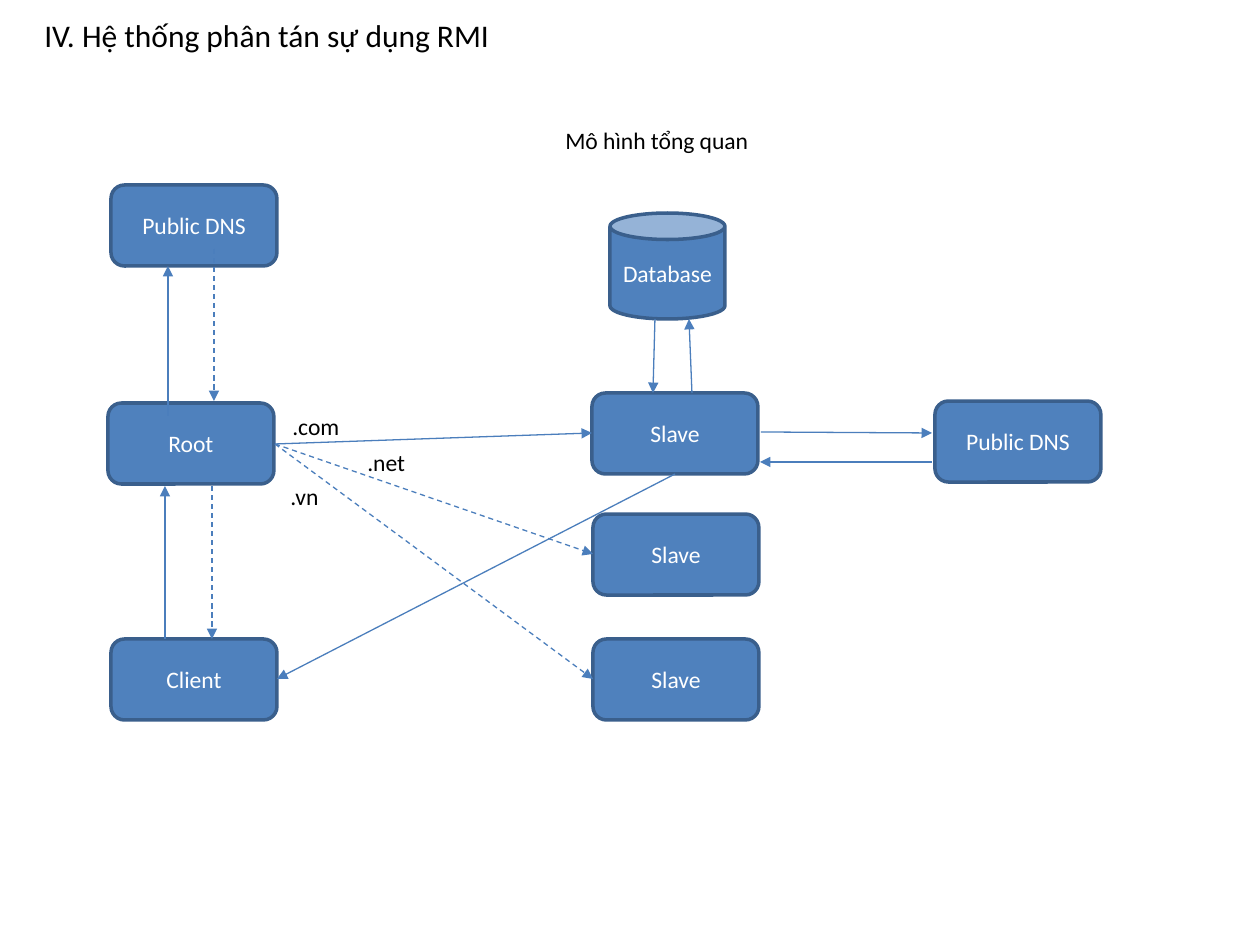
import pptx
import pptx.util
import pptx.dml.color
import pptx.enum.dml
import pptx.enum.shapes
import pptx.enum.text
import pptx.oxml
import pptx.oxml.ns
from lxml import etree

EMU_PER_PX = 914400 / 126
NODE_W, NODE_H = 166, 81
FILL, BORDER, ARROW = "4F81BD", "3A5F8C", "4B7EBC"
SHAPES = pptx.enum.shapes.MSO_SHAPE


def px(length):
    return pptx.util.Emu(round(length * EMU_PER_PX))


def color(hex_code):
    return pptx.dml.color.RGBColor.from_string(hex_code)


def write(frame, text, size=13.5, ink="000000", centered=False, wrap=True):
    frame.word_wrap = wrap
    paragraph = frame.paragraphs[0]
    if centered:
        frame.vertical_anchor = pptx.enum.text.MSO_ANCHOR.MIDDLE
        paragraph.alignment = pptx.enum.text.PP_ALIGN.CENTER
    run = paragraph.add_run()
    run.text = text
    run.font.name = "Calibri"
    run.font.size = pptx.util.Pt(size)
    run.font.color.rgb = color(ink)


def label(slide, text, left, top, width, height=42, **text_format):
    box = slide.shapes.add_textbox(px(left), px(top), px(width), px(height))
    write(box.text_frame, text, **text_format)


def node(slide, text, left, top, width=NODE_W, height=NODE_H,
         outline=SHAPES.ROUNDED_RECTANGLE):
    shape = slide.shapes.add_shape(outline, px(left), px(top), px(width), px(height))
    shape.shadow.inherit = False
    shape.fill.solid()
    shape.fill.fore_color.rgb = color(FILL)
    shape.line.color.rgb = color(BORDER)
    shape.line.width = pptx.util.Pt(2)
    # The database label fills its cylinder, so it must not wrap
    write(shape.text_frame, text, ink="FFFFFF", centered=True,
          wrap=outline != SHAPES.CAN)


def arrow(slide, x1, y1, x2, y2, dashed=False):
    line = slide.shapes.add_connector(
        pptx.enum.shapes.MSO_CONNECTOR.STRAIGHT, px(x1), px(y1), px(x2), px(y2))
    line.line.color.rgb = color(ARROW)
    line.line.width = pptx.util.Pt(0.75)
    if dashed:
        line.line.dash_style = pptx.enum.dml.MSO_LINE.DASH
    properties = line.element.spPr
    etree.SubElement(line.line._get_or_add_ln(),
                     pptx.oxml.ns.qn("a:tailEnd"), type="triangle")
    etree.SubElement(properties, pptx.oxml.ns.qn("a:effectLst"))


def headings(slide, left, top):
    label(slide, "IV. Hệ thống phân tán sự dụng RMI", left, top, 494, 50, size=18)
    label(slide, "Mô hình tổng quan", left + 521, top + 110, 210, wrap=False)


def request_column(slide, left, top):
    """Public DNS above Root above Client; requests solid, replies dashed."""
    for text, dx, dy in (("Public DNS", 3, 0), ("Root", 0, 218), ("Client", 3, 454)):
        node(slide, text, left + dx, top + dy)
    for x, start, end, dashed in ((57, 454, 301, False), (60, 231, 81, False),
                                  (106, 64, 216, True), (104, 301, 454, True)):
        arrow(slide, left + x, top + start, left + x, top + end, dashed)


def slave_column(slide, left, top):
    """Database above the three slaves, linked to the first one."""
    node(slide, "Database", left + 18, top, 115, 106, SHAPES.CAN)
    for dx, dy in ((0, 180), (1, 301), (1, 426)):
        node(slide, "Slave", left + dx, top + dy)
    arrow(slide, left + 63, top + 106, left + 61, top + 180)
    arrow(slide, left + 100, top + 180, left + 97, top + 106)


def external_lookup(slide, left, top):
    """Second DNS with its link to and from the first slave."""
    node(slide, "Public DNS", left, top)
    arrow(slide, left - 174, top + 31, left - 3, top + 32)
    arrow(slide, left - 3, top + 61, left - 175, top + 61)


def domain_routes(slide, left, top):
    """Routes fanning out from Root by domain, and the answer to Client."""
    routes = ((".com", 5, -38, 73, 317, -11, False),
              (".net", 80, -2, 64, 318, 110, True),
              (".vn", 3, 32, 54, 318, 235, True))
    for domain, dx, dy, width, end_x, end_y, dashed in routes:
        arrow(slide, left, top, left + end_x, top + end_y, dashed)
        label(slide, domain, left + dx, top + dy, width, wrap=False)
    arrow(slide, left + 400, top + 30, left + 2, top + 235)


def main():
    deck = pptx.Presentation()
    deck.slide_width, deck.slide_height = px(1260), px(945)
    slide = deck.slides.add_slide(deck.slide_layouts[6])
    headings(slide, 32, 10)
    request_column(slide, 108, 185)
    slave_column(slide, 592, 213)
    external_lookup(slide, 935, 401)
    domain_routes(slide, 275, 444)
    deck.save("out.pptx")


if __name__ == "__main__":
    main()
